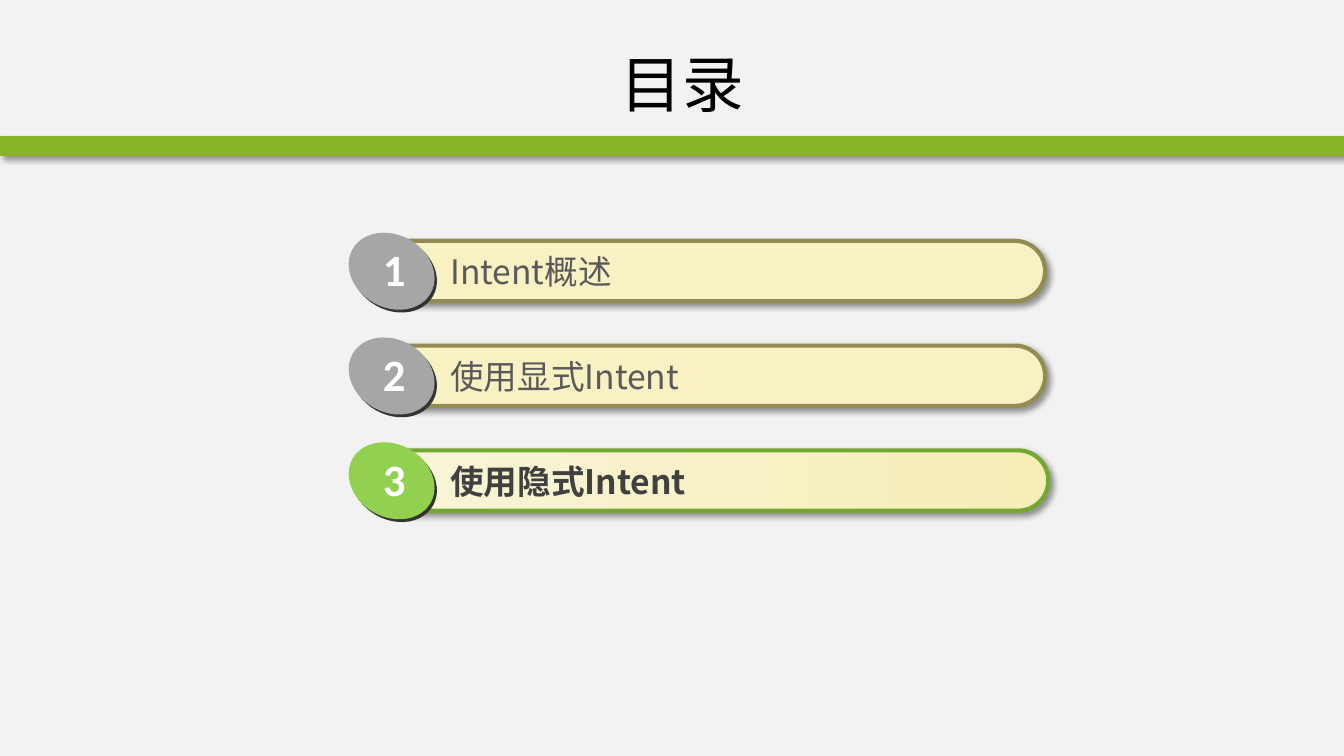
from lxml import etree
from pptx import Presentation
from pptx import util as u
from pptx.dml.color import RGBColor
from pptx.enum import shapes, text
from pptx.oxml.ns import qn

TITLE = "目录"
TOPICS = ["Intent概述", "使用显式Intent", "使用隐式Intent"]
CURRENT = 3
CJK = "Noto Sans CJK SC"
NORMAL = {"fills": ["F7F1C4"], "border": "948A54", "badge": "A6A6A6",
          "ink": "595959", "bold": False, "width": 17.04}
ACTIVE = {"fills": ["F9F5D9", "F5EEB7"], "border": "74A731", "badge": "92D050",
          "ink": "404040", "bold": True, "width": 17.12}
FIRST_TOP, PITCH = 6.07, 2.64


def rgb(value):
    return RGBColor.from_string(value)


def cm(*lengths):
    return [u.Cm(n) for n in lengths]


def add_shadow(sp):
    effects = sp._element.spPr.find(qn("a:effectLst"))
    shadow = etree.SubElement(effects, qn("a:outerShdw"), blurRad=str(u.Pt(4)),
                              dist=str(u.Pt(3)), dir="2700000", algn="tl", rotWithShape="0")
    color = etree.SubElement(shadow, qn("a:srgbClr"), val="000000")
    etree.SubElement(color, qn("a:alpha"), val="40000")


def add_box(parent, kind, box, fills, border=None, shadow=False):
    """Add a preset shape; two fills make a left-to-right gradient."""
    sp = parent.add_shape(kind, *cm(*box))
    sp.shadow.inherit = False
    if len(fills) == 1:
        sp.fill.solid()
        sp.fill.fore_color.rgb = rgb(fills[0])
    else:
        sp.fill.gradient()
        sp.fill.gradient_angle = 0
        for position, (stop, color) in enumerate(zip(sp.fill.gradient_stops, fills)):
            stop.position = position
            stop.color.rgb = rgb(color)
    if border:
        sp.line.color.rgb = rgb(border)
        sp.line.width = u.Pt(3)
    else:
        sp.line.fill.background()
    if shadow:
        add_shadow(sp)
    return sp


def add_run(p, words, size, font, color, bold=False):
    r = p.add_run()
    r.text = words
    r.font.size, r.font.bold = u.Pt(size), bold
    r.font.color.rgb = rgb(color)
    r.font.name = font
    etree.SubElement(r._r.get_or_add_rPr(), qn("a:ea"), typeface=font)


def add_label(parent, box, wrap, *run):
    tf = parent.add_textbox(*cm(*box)).text_frame
    tf.word_wrap = wrap
    tf.auto_size = text.MSO_AUTO_SIZE.SHAPE_TO_FIT_TEXT
    add_run(tf.paragraphs[0], *run)


def add_topic(slide, number, topic):
    style = ACTIVE if number == CURRENT else NORMAL
    top = FIRST_TOP + (number - 1) * PITCH
    group = slide.shapes.add_group_shape().shapes
    bar = add_box(group, shapes.MSO_SHAPE.ROUNDED_RECTANGLE,
                  (9.3, top, style["width"], 1.52), style["fills"], style["border"], True)
    bar.adjustments[0] = 0.5
    add_label(group, (11.1, top + 0.13, 13.56, 1.28), True,
              topic, 24, CJK, style["ink"], style["bold"])
    for left, rise, color in [(8.8, 0.08, "333333"), (8.74, 0.15, style["badge"])]:
        badge = add_box(group, shapes.MSO_SHAPE.OVAL, (left, top - rise, 2.26, 1.83), [color])
        badge.rotation = 29.3
    add_label(group, (9.4, top - 0.1, 1.09, 1.62), False,
              str(number), 32, "Calibri", "FFFFFF", True)


def main():
    prs = Presentation()
    prs.slide_width, prs.slide_height = cm(33.87, 19.05)
    slide = prs.slides.add_slide(prs.slide_layouts[5])
    slide.background.fill.solid()
    slide.background.fill.fore_color.rgb = rgb("F2F2F2")

    add_box(slide.shapes, shapes.MSO_SHAPE.RECTANGLE, (0, 3.43, 33.87, 0.5),
            ["88B429"], shadow=True)
    for number, topic in enumerate(TOPICS, 1):
        add_topic(slide, number, topic)

    title = slide.shapes.title
    title.left, title.top, title.width, title.height = cm(3.53, 0.76, 27.33, 2.67)
    tf = title.text_frame
    tf.vertical_anchor = text.MSO_ANCHOR.MIDDLE
    p = tf.paragraphs[0]
    p.alignment = text.PP_ALIGN.CENTER
    add_run(p, TITLE, 44, CJK, "000000")
    prs.save("out.pptx")


if __name__ == "__main__":
    main()
